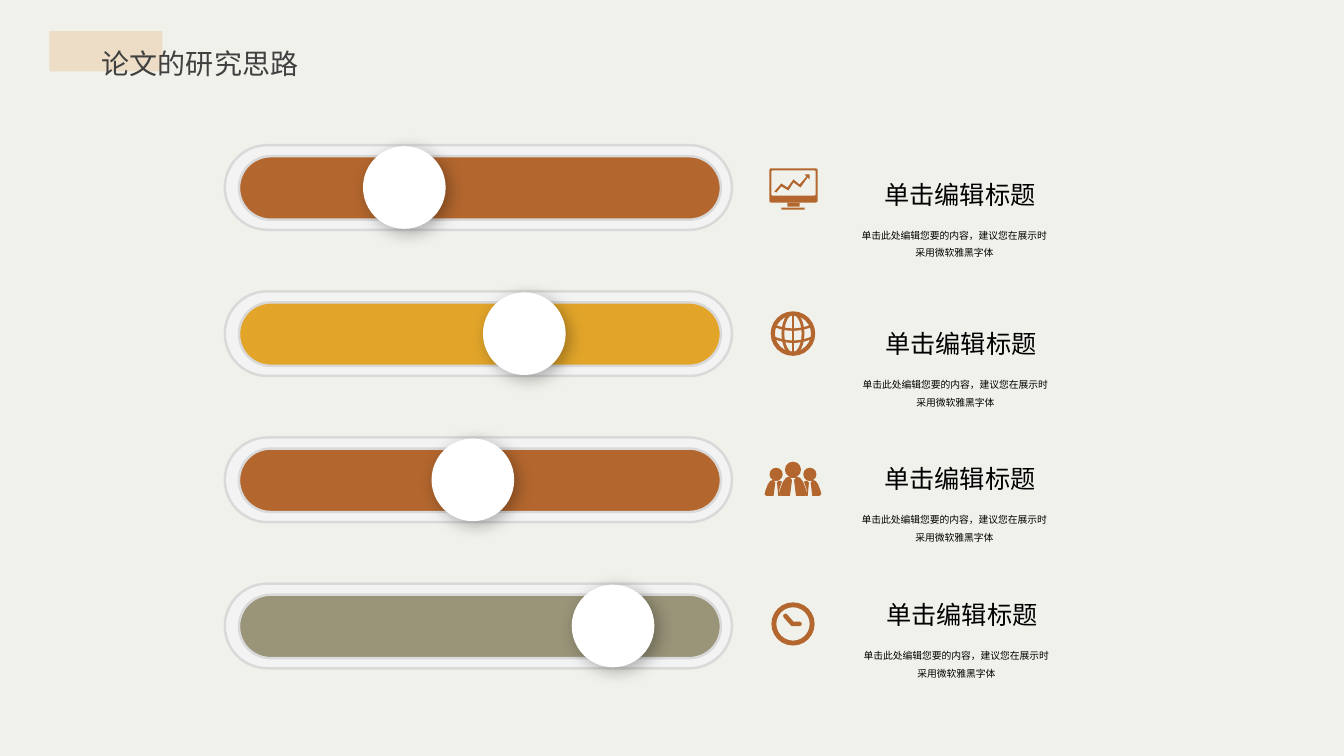
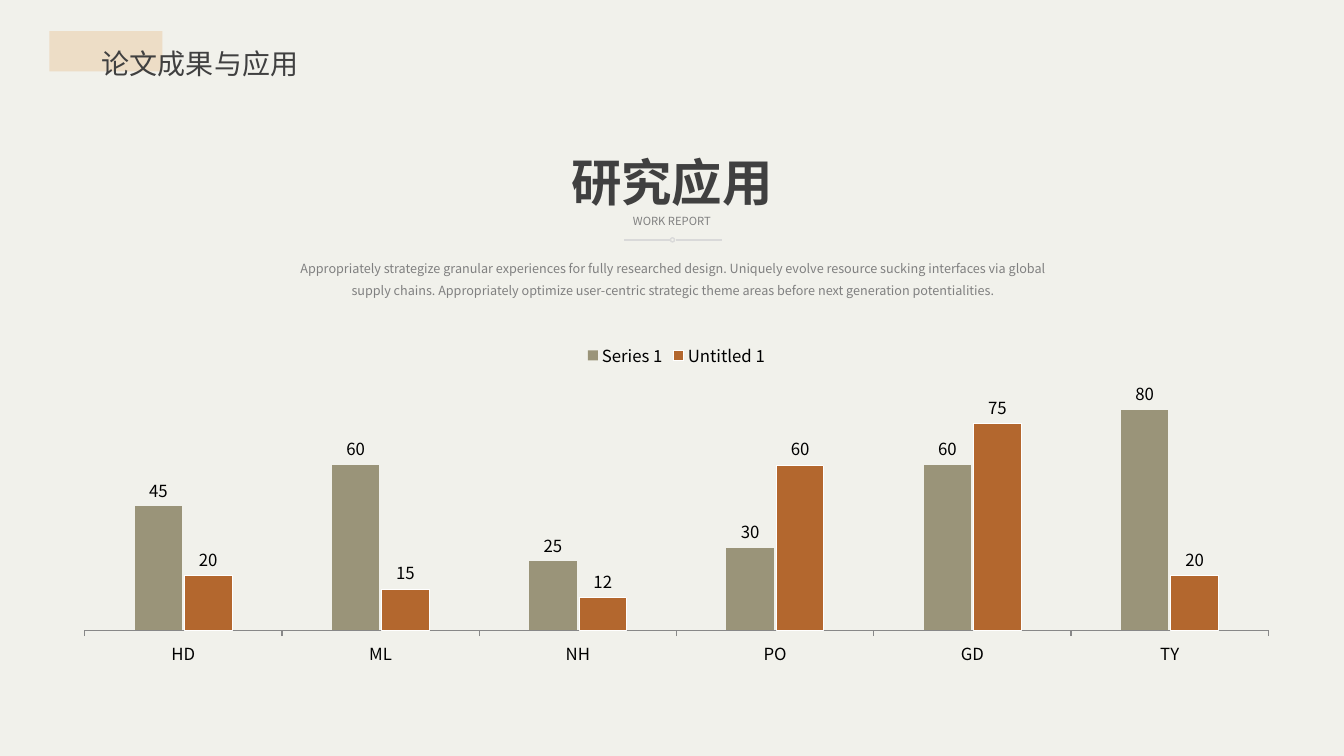
from dataclasses import dataclass
from typing import Optional

from lxml.etree import SubElement
from pptx import Presentation
from pptx.chart.data import CategoryChartData
from pptx.dml.color import RGBColor
from pptx.enum.chart import XL_CHART_TYPE, XL_LABEL_POSITION, XL_LEGEND_POSITION, XL_TICK_MARK
from pptx.enum.shapes import MSO_CONNECTOR, MSO_SHAPE
from pptx.enum.text import MSO_ANCHOR, MSO_AUTO_SIZE, PP_ALIGN
from pptx.oxml import parse_xml
from pptx.oxml.ns import qn
from pptx.util import Inches, Pt

FONT = "Noto Sans CJK SC"
PAPER, TAN, DARK, GREY, RULE = "F1F1EB", "EDDDC6", "404040", "808080", "D9D9D9"
RUST, GOLD, OLIVE, WHITE, BLACK = "B3672E", "E2A52A", "9A9479", "FFFFFF", "000000"
TRACK, AXIS = "F3F3F3", "888888"
NS = 'xmlns:a="http://schemas.openxmlformats.org/drawingml/2006/main"'
SHADE = (
    f'<a:effectLst {NS}><a:outerShdw blurRad="152400" dist="50800" dir="2700000" '
    'algn="tl" rotWithShape="0"><a:srgbClr val="000000"><a:alpha val="30000"/>'
    "</a:srgbClr></a:outerShdw></a:effectLst>"
)
HEAD = "单击编辑标题"
BODY = "单击此处编辑您要的内容，建议您在展示时采用微软雅黑字体"
MID = 7.865

Box = tuple[float, float, float, float]
Points = list[tuple[float, float]]

OUTER: Points = [(-.03, .16), (-.01, .18), (-.03, .34), (-.12, .34), (-.14, .32),
                 (-.13, .28), (-.1, .2), (-.07, .16), (-.04, .15)]
INNER: Points = [(-x, y) for x, y in reversed(OUTER)]
SIDE: Points = [(.05, .16), (.07, .17), (.04, .26), (.035, .3), (.05, .34),
                (.025, .34), (.01, .18), (.03, .16)]


@dataclass
class Slider:
    color: str
    knob: float
    left: float
    top: float


@dataclass
class Series:
    name: str
    vals: tuple[int, ...]
    color: str
    form: str
    edge: Optional[str] = None


SLIDERS = [
    Slider(RUST, 3.6, 8.41, 1.73),
    Slider(GOLD, 4.79, 8.42, 3.21),
    Slider(RUST, 4.28, 8.41, 4.55),
    Slider(OLIVE, 5.67, 8.43, 5.9),
]
CATS = ("HD", "ML", "NH", "PO", "GD", "TY")
DATA = [
    Series("Series 1", (45, 60, 25, 30, 60, 80), OLIVE, "0"),
    Series("Untitled 1", (20, 15, 12, 60, 75, 20), RUST, "#,##0", WHITE),
]


def tint(code: str) -> RGBColor:
    return RGBColor.from_string(code)


def paint(shape, fill: Optional[str], line: Optional[str] = None, width: float = 1) -> None:
    shape.shadow.inherit = False
    if fill:
        shape.fill.solid()
        shape.fill.fore_color.rgb = tint(fill)
    else:
        shape.fill.background()
    if line:
        shape.line.color.rgb = tint(line)
        shape.line.width = Pt(width)
    else:
        shape.line.fill.background()


def draw(slide, kind: MSO_SHAPE, box: Box, fill: Optional[str],
         line: Optional[str] = None, width: float = 1):
    shape = slide.shapes.add_shape(kind, *map(Inches, box))
    paint(shape, fill, line, width)
    return shape


def trace(slide, points: Points, fill: Optional[str],
          line: Optional[str] = None, width: float = 1):
    spots = [(Inches(x), Inches(y)) for x, y in points]
    maker = slide.shapes.build_freeform(*spots[0])
    maker.add_line_segments(spots[1:], close=bool(fill))
    shape = maker.convert_to_shape()
    paint(shape, fill, line, width)
    return shape


def link(slide, start: tuple[float, float], end: tuple[float, float],
         color: str, width: float) -> None:
    line = slide.shapes.add_connector(MSO_CONNECTOR.STRAIGHT, *map(Inches, start + end))
    line.line.color.rgb = tint(color)
    line.line.width = Pt(width)
    SubElement(line._element.spPr, qn("a:effectLst"))


def write(frame, text: str, size: float, color: str, align: PP_ALIGN = PP_ALIGN.CENTER,
          space: float = 1, bold: bool = False, wrap: bool = True) -> None:
    frame.word_wrap = wrap
    frame.auto_size = MSO_AUTO_SIZE.SHAPE_TO_FIT_TEXT
    frame.vertical_anchor = MSO_ANCHOR.TOP
    para = frame.paragraphs[0]
    para.alignment = align
    para.line_spacing = space
    run = para.add_run()
    run.text = text
    font = run.font
    font.name, font.size, font.bold = FONT, Pt(size), bold
    font.color.rgb = tint(color)
    SubElement(run._r.get_or_add_rPr(), qn("a:ea")).set("typeface", FONT)


def label(slide, box: Box, text: str, size: float, color: str,
          space: float = 1, bold: bool = False, wrap: bool = True) -> None:
    frame = slide.shapes.add_textbox(*map(Inches, box)).text_frame
    write(frame, text, size, color, space=space, bold=bold, wrap=wrap)


def start(deck, text: str):
    slide = deck.slides.add_slide(deck.slide_layouts[5])
    tag = draw(slide, MSO_SHAPE.RECTANGLE, (.49, .31, 1.12, .4), TAN)
    title = slide.shapes.title
    title._element.addprevious(tag._element)
    title.left, title.top, title.width, title.height = map(Inches, (.91, .24, 3.5, .55))
    write(title.text_frame, text, 20, DARK, PP_ALIGN.JUSTIFY, 1.5)
    return slide


def slider(slide, item: Slider, top: float) -> None:
    for box, fill in (((2.23, top, 5.03, .84), TRACK), ((2.37, top + .11, 4.78, .63), item.color)):
        pill = draw(slide, MSO_SHAPE.ROUNDED_RECTANGLE, box, fill, RULE, 1.75)
        pill.adjustments[0] = .5
    knob = draw(slide, MSO_SHAPE.OVAL, (item.knob, top + .01, .82, .82), WHITE)
    props = knob._element.spPr
    props.replace(props.find(qn("a:effectLst")), parse_xml(SHADE))
    label(slide, (item.left + .26, item.top, 1.7, .4), HEAD, 18, BLACK, wrap=False)
    label(slide, (item.left, item.top + .44, 2.11, .43), BODY, 7, BLACK, 1.5)


def screen(slide) -> None:
    for box, fill in (((7.63, 1.67, .48, .34), RUST), ((7.65, 1.69, .44, .25), PAPER)):
        panel = draw(slide, MSO_SHAPE.ROUNDED_RECTANGLE, box, fill)
        panel.adjustments[0] = .06
    for box in ((7.81, 2.01, .12, .04), (7.75, 2.06, .23, .02)):
        draw(slide, MSO_SHAPE.RECTANGLE, box, RUST)
    trace(slide, [(8.03, 1.73), (7.98, 1.73), (8, 1.75), (7.93, 1.83), (7.87, 1.78),
                  (7.81, 1.86), (7.75, 1.82), (7.68, 1.9), (7.7, 1.91), (7.75, 1.85),
                  (7.82, 1.89), (7.87, 1.81), (7.94, 1.86), (8.01, 1.76), (8.03, 1.78)], RUST)


def globe(slide) -> None:
    for wide, high, width in ((.4, .4, 3), (.2, .4, 2)):
        box = (MID - wide / 2, 3.31 - high / 2, wide, high)
        draw(slide, MSO_SHAPE.OVAL, box, None, RUST, width)
    link(slide, (MID, 3.11), (MID, 3.51), RUST, 2)
    for low in (3.27, 3.39):
        arc = [(MID + n * .03, low - .001 * n * n) for n in range(-6, 7)]
        trace(slide, arc, None, RUST, 1.75)


def person(slide, mid: float, top: float, scale: float, body: Points) -> None:
    size = .16 * scale
    draw(slide, MSO_SHAPE.OVAL, (mid - size / 2, top, size, size), RUST)
    trace(slide, [(mid + x * scale, top + y * scale) for x, y in body], RUST)


def crowd(slide) -> None:
    person(slide, MID, 4.58, 1, INNER + OUTER)
    for sign in (-1, 1):
        body = [(-sign * x, y) for x, y in SIDE + OUTER]
        person(slide, MID + sign * .167, 4.64, .82, body)


def clock(slide) -> None:
    draw(slide, MSO_SHAPE.OVAL, (MID - .19, 6, .38, .38), None, RUST, 3.5)
    hands = trace(slide, [(7.79, 6.11), (7.86, 6.19), (7.93, 6.19)], None, RUST, 3.25)
    edge = hands.line._get_or_add_ln()
    edge.set("cap", "rnd")
    SubElement(edge, qn("a:round"))


def rule(slide) -> None:
    draw(slide, MSO_SHAPE.OVAL, (6.65, 2.36, .04, .04), None, RULE)
    for left in (6.19, 6.7):
        link(slide, (left, 2.38), (left + .46, 2.38), RULE, 1)


def place(plot, box: Box) -> None:
    old = plot.find(qn("c:layout"))
    if old is not None:
        plot.remove(old)
    layout = SubElement(plot, qn("c:layout"))
    plot.insert(0, layout)
    manual = SubElement(layout, qn("c:manualLayout"))
    pairs = [("layoutTarget", "inner"), ("xMode", "edge"), ("yMode", "edge")]
    pairs += zip("xywh", map(str, box))
    for name, val in pairs:
        SubElement(manual, qn(f"c:{name}")).set("val", val)


def bars(slide) -> None:
    data = CategoryChartData()
    data.categories = CATS
    for item in DATA:
        data.add_series(item.name, item.vals)
    box = map(Inches, (.72, 3.29, 11.98, 3.31))
    chart = slide.shapes.add_chart(XL_CHART_TYPE.COLUMN_CLUSTERED, *box, data).chart
    chart.has_title = False
    chart.font.name, chart.font.size = FONT, Pt(12)
    chart.font.color.rgb = tint(BLACK)
    chart.has_legend = True
    chart.legend.position = XL_LEGEND_POSITION.TOP
    chart.legend.include_in_layout = False
    base = chart.category_axis
    base.major_tick_mark = XL_TICK_MARK.OUTSIDE
    base.format.line.color.rgb = tint(AXIS)
    base.format.line.width = Pt(1)
    scale = chart.value_axis
    scale.minimum_scale, scale.maximum_scale, scale.major_unit = 0, 100, 20
    scale.has_major_gridlines = False
    scale.visible = False
    plot = chart.plots[0]
    plot.gap_width, plot.overlap, plot.vary_by_categories = 210, -5, False
    for item, series in zip(DATA, plot.series):
        series.format.fill.solid()
        series.format.fill.fore_color.rgb = tint(item.color)
        if item.edge:
            series.format.line.color.rgb = tint(item.edge)
            series.format.line.width = Pt(.5)
        else:
            series.format.line.fill.background()
        marks = series.data_labels
        marks.show_value = True
        marks.position = XL_LABEL_POSITION.OUTSIDE_END
        marks.number_format, marks.number_format_is_linked = item.form, False
    place(chart._chartSpace.chart.plotArea, (.01, .07, .98, .83))


def method(deck) -> None:
    slide = start(deck, "论文的研究思路")
    for row, item in enumerate(SLIDERS):
        slider(slide, item, 1.44 + 1.45 * row)
    for icon in (screen, globe, crowd, clock):
        icon(slide)


def result(deck) -> None:
    slide = start(deck, "论文成果与应用")
    label(slide, (2.69, 2.46, 7.96, .53),
          "Appropriately strategize granular experiences for fully researched design. "
          "Uniquely evolve resource sucking interfaces via global supply chains. "
          "Appropriately optimize user-centric strategic theme areas before next "
          "generation potentialities.", 9, GREY, 1.5)
    bars(slide)
    label(slide, (5.87, 2.08, 1.59, .24), "WORK REPORT", 8, GREY)
    label(slide, (3.63, 1.45, 6.07, .71), "研究应用", 36, DARK, bold=True)
    rule(slide)


def main() -> None:
    deck = Presentation()
    deck.slide_width, deck.slide_height = Inches(13.33), Inches(7.5)
    fill = deck.slide_master.background.fill
    fill.solid()
    fill.fore_color.rgb = tint(PAPER)
    method(deck)
    result(deck)
    deck.save("out.pptx")


if __name__ == "__main__":
    main()
